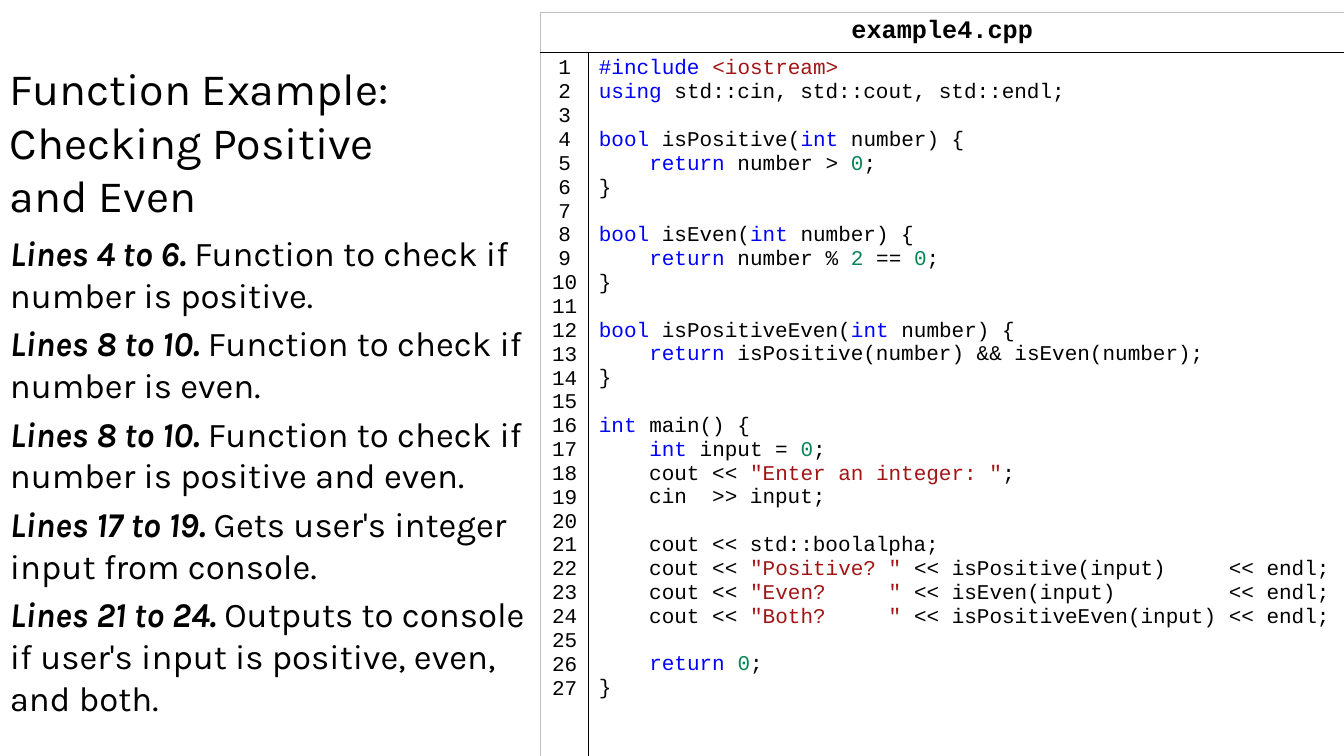
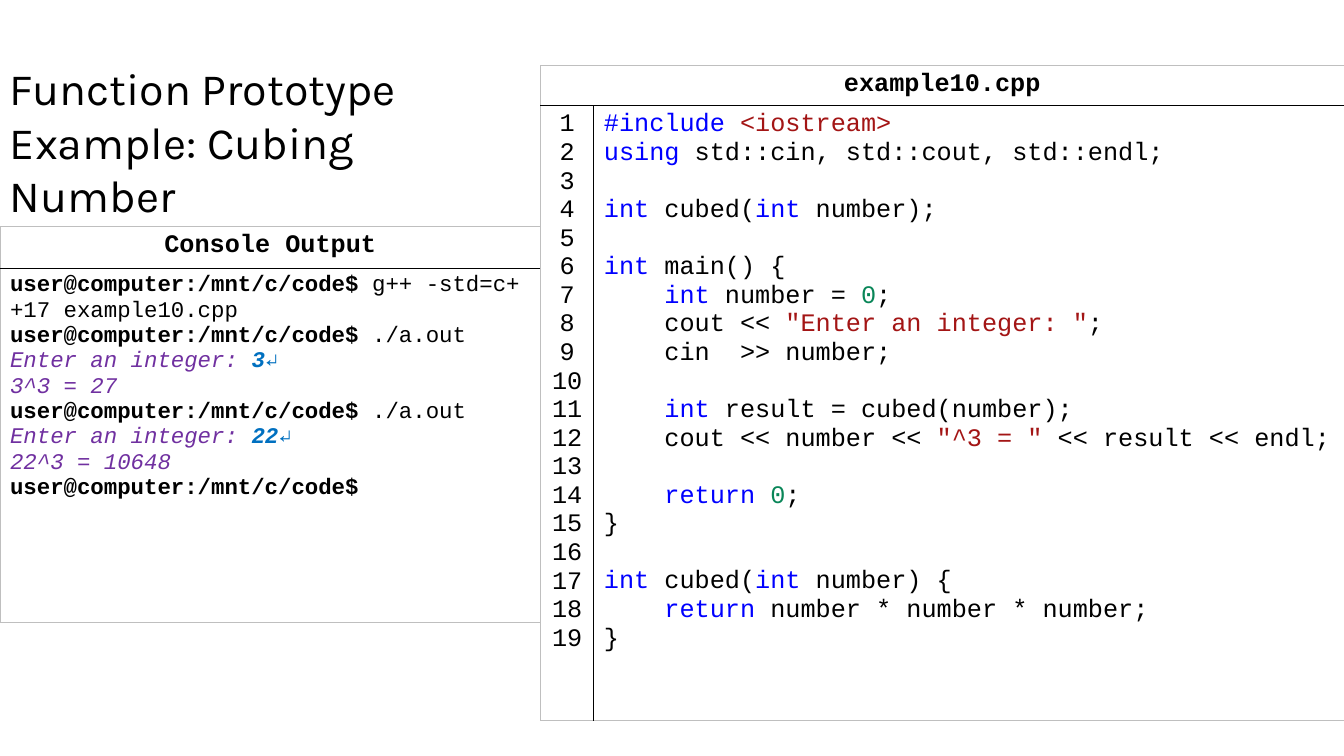
from itertools import groupby

from lxml import etree
from pptx import Presentation
from pptx import util as u
from pptx.dml.color import RGBColor
from pptx.enum import text
from pptx.oxml import ns

# Shared look
SANS, MONO = "Karla", "Courier New"
BLACK, GRID = "000000", "BFBFBF"
KEYWORD, STRING, NUMBER = "0000FF", "A31515", "098658"
OUTPUT, TYPED = "7030A0", "0070C0"
KEYWORDS = {"#include", "using", "bool", "int", "return"}
LINE_HEIGHT = 1.133  # height of a code line relative to its text size
SPLIT = 5.36  # left edge of the code listing
CODE_WIDTH = 7.97
PROMPT = "user@computer:/mnt/c/code$"

POSITIVE_EVEN = """#include <iostream>
using std::cin, std::cout, std::endl;

bool isPositive(int number) {
    return number > 0;
}

bool isEven(int number) {
    return number % 2 == 0;
}

bool isPositiveEven(int number) {
    return isPositive(number) && isEven(number);
}

int main() {
    int input = 0;
    cout << "Enter an integer: ";
    cin  >> input;

    cout << std::boolalpha;
    cout << "Positive? " << isPositive(input)     << endl;
    cout << "Even?     " << isEven(input)         << endl;
    cout << "Both?     " << isPositiveEven(input) << endl;

    return 0;
}"""

CUBED = """#include <iostream>
using std::cin, std::cout, std::endl;

int cubed(int number);

int main() {
    int number = 0;
    cout << "Enter an integer: ";
    cin  >> number;

    int result = cubed(number);
    cout << number << "^3 = " << result << endl;

    return 0;
}

int cubed(int number) {
    return number * number * number;
}"""

NOTES = [
    ("Lines 4 to 6. ", "Function to check if number is positive."),
    ("Lines 8 to 10. ", "Function to check if number is even."),
    ("Lines 8 to 10. ", "Function to check if number is positive and even."),
    ("Lines 17 to 19. ", "Gets user's integer input from console."),
    ("Lines 21 to 24. ",
     "Outputs to console if user's input is positive, even, and both."),
]


def colour(value):
    return RGBColor.from_string(value)


def add_span(para, words, size, font=MONO, shade=BLACK, bold=False, italic=False):
    span = para.add_run()
    span.text = words
    span.font.name, span.font.size = font, u.Pt(size)
    span.font.bold, span.font.italic = bold, italic
    span.font.color.rgb = colour(shade)


def paragraphs(frame):
    """Yield the first paragraph of a frame, then new ones."""
    yield frame.paragraphs[0]
    while True:
        yield frame.add_paragraph()


def add_text_box(page, left, top, width, height, anchor):
    box = page.shapes.add_textbox(*map(u.Inches, (left, top, width, height)))
    box.text_frame.word_wrap = True
    box.text_frame.vertical_anchor = anchor
    return box.text_frame


def add_title(page, words):
    frame = add_text_box(page, 0, 0.5, 4.3, 1.75, text.MSO_ANCHOR.BOTTOM)
    add_span(frame.paragraphs[0], words, 32, SANS)


def add_notes(page, notes):
    frame = add_text_box(page, 0, 2.25, SPLIT, 4.17, text.MSO_ANCHOR.TOP)
    for para, (lines, meaning) in zip(paragraphs(frame), notes[:-1] + notes[-1:]):
        para.space_before = u.Pt(5)
        add_span(para, lines, 24.8, SANS, bold=True, italic=True)
        add_span(para, meaning, 24.8, SANS)


# Tables
def set_borders(cell, shades):
    """Draw the left, right, top and bottom edges, in that order."""
    properties = cell._tc.get_or_add_tcPr()
    for place, (side, shade) in enumerate(zip("LRTB", shades)):
        line = etree.Element(ns.qn(f"a:ln{side}"),
                             w=str(u.Pt(1 if shade == BLACK else 0.5)))
        fill = etree.SubElement(line, ns.qn("a:solidFill"))
        etree.SubElement(fill, ns.qn("a:srgbClr"), val=shade)
        properties.insert(place, line)


def add_panel(page, left, top, columns, rows, heading):
    """Add a table with a heading row over one body row; return the body cells."""
    table = page.shapes.add_table(
        2, len(columns), *map(u.Inches, (left, top, sum(columns), sum(rows)))).table
    table.first_row = table.horz_banding = False
    for column, width in zip(table.columns, columns):
        column.width = u.Inches(width)
    for row, height in zip(table.rows, rows):
        row.height = u.Inches(height)
    last = len(columns) - 1
    for r in range(2):
        for c in range(last + 1):
            cell = table.cell(r, c)
            cell.fill.background()
            inner = BLACK if r else GRID
            set_borders(cell, (inner if c else GRID,
                               inner if c < last else GRID,
                               BLACK if r else GRID,
                               GRID if r else BLACK))
    header = table.cell(0, 0)
    if last:
        header.merge(table.cell(0, last))
    para = header.text_frame.paragraphs[0]
    para.alignment = text.PP_ALIGN.CENTER
    add_span(para, heading, 18, bold=True)
    return [table.cell(1, c) for c in range(last + 1)]


# Syntax colouring
def tokens(line):
    """Yield (words, colour) for each piece of a line of code."""
    if line.startswith("#include"):
        name, header = line.split("<")
        yield name, KEYWORD
        yield "<" + header, STRING
        return
    for place, part in enumerate(line.split('"')):
        if place % 2:
            yield f'"{part}"', STRING
            continue
        for _, letters in groupby(part, key=str.isalnum):
            word = "".join(letters)
            yield word, (KEYWORD if word in KEYWORDS
                         else NUMBER if word.isdigit() else BLACK)


def add_code(page, top, gutter, body_height, name, code, size):
    numbers, listing = add_panel(page, SPLIT, top, (gutter, CODE_WIDTH - gutter),
                                 (0.39, body_height), name)
    lines = code.split("\n")
    for para, number in zip(paragraphs(numbers.text_frame), range(1, len(lines) + 1)):
        para.alignment = text.PP_ALIGN.CENTER
        add_span(para, str(number), size)
    # An empty code line becomes space above the next one
    fresh = paragraphs(listing.text_frame)
    gap = 0
    for line in lines:
        if not line:
            gap += size * LINE_HEIGHT
            continue
        para = next(fresh)
        para.space_before = u.Pt(gap)
        gap = 0
        for shade, pieces in groupby(tokens(line), key=lambda token: token[1]):
            words = "".join(piece for piece, _ in pieces)
            add_span(para, words.replace("  ", "\u00a0 "), size, shade=shade)


def add_console(page, session):
    (screen,) = add_panel(page, 0, 2.25, (SPLIT,), (0.41, 3.51), "Console Output")
    styles = {
        "prompt": dict(bold=True),
        "command": {},
        "output": dict(shade=OUTPUT, italic=True),
        "typed": dict(shade=TYPED, bold=True, italic=True),
    }
    for para, line in zip(paragraphs(screen.text_frame), session):
        for style, words in line:
            add_span(para, words, 16, **styles[style])


def console_run(number):
    return [
        [("prompt", PROMPT), ("command", " ./a.out")],
        [("output", "Enter an integer: "), ("typed", f"{number}\u21b5")],
        [("output", f"{number}^3 = {number ** 3}")],
    ]


def main():
    deck = Presentation()
    deck.slide_width, deck.slide_height = u.Inches(13.33), u.Inches(7.5)
    blank = deck.slide_layouts[6]

    # Positive and even
    page = deck.slides.add_slide(blank)
    add_title(page, "Function Example: Checking Positive and Even")
    add_notes(page, NOTES)
    add_code(page, 0.12, 0.48, 6.49, "example4.cpp", POSITIVE_EVEN, 15)

    # Cubing a number
    page = deck.slides.add_slide(blank)
    add_title(page, "Function Prototype Example: Cubing Number")
    compile_line = [("prompt", PROMPT), ("command", " g++ -std=c++17 example10.cpp")]
    add_console(page, [compile_line, *console_run(3), *console_run(22),
                       [("prompt", PROMPT)]])
    add_code(page, 0.65, 0.53, 5.48, "example10.cpp", CUBED, 18)

    deck.save("out.pptx")


main()
